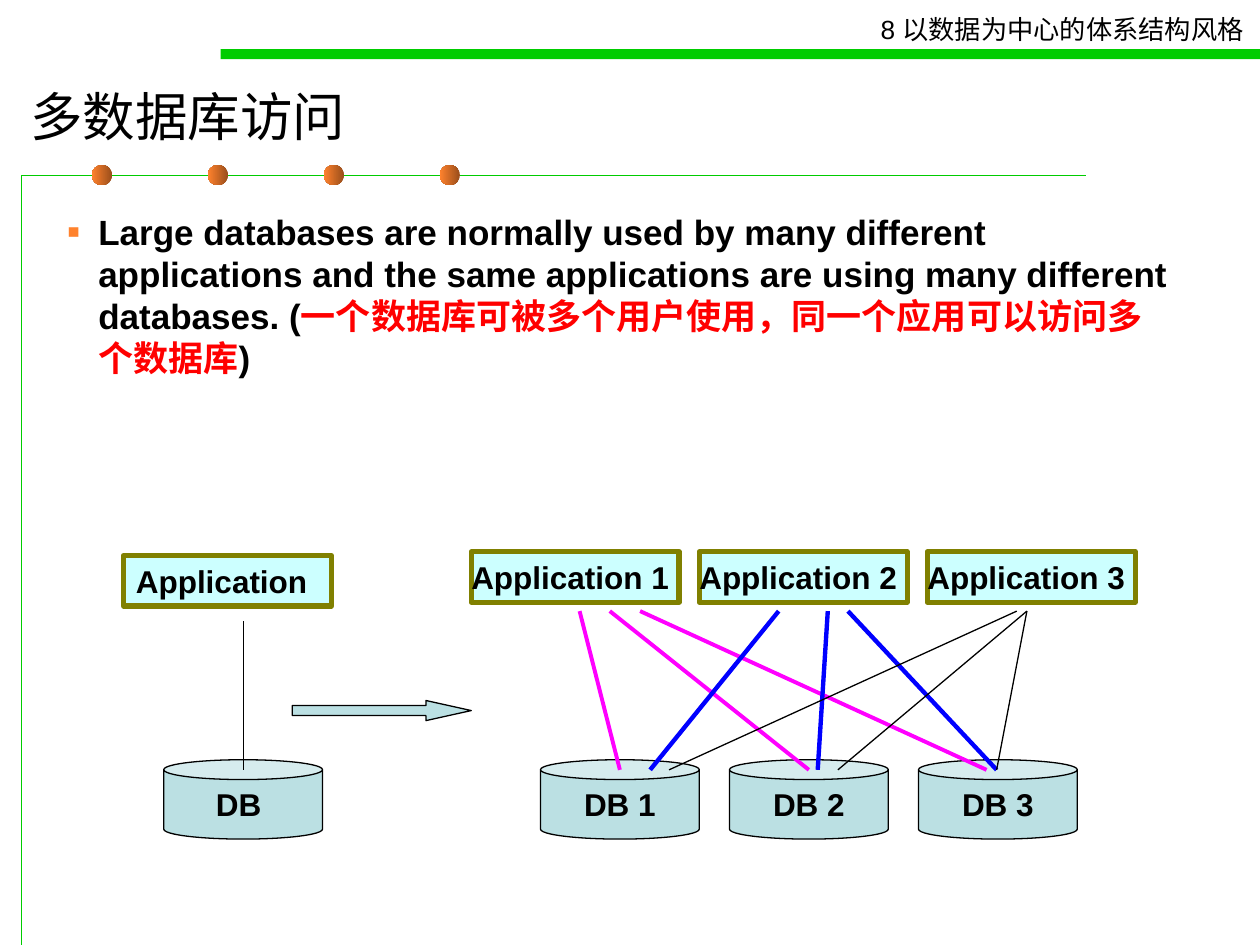
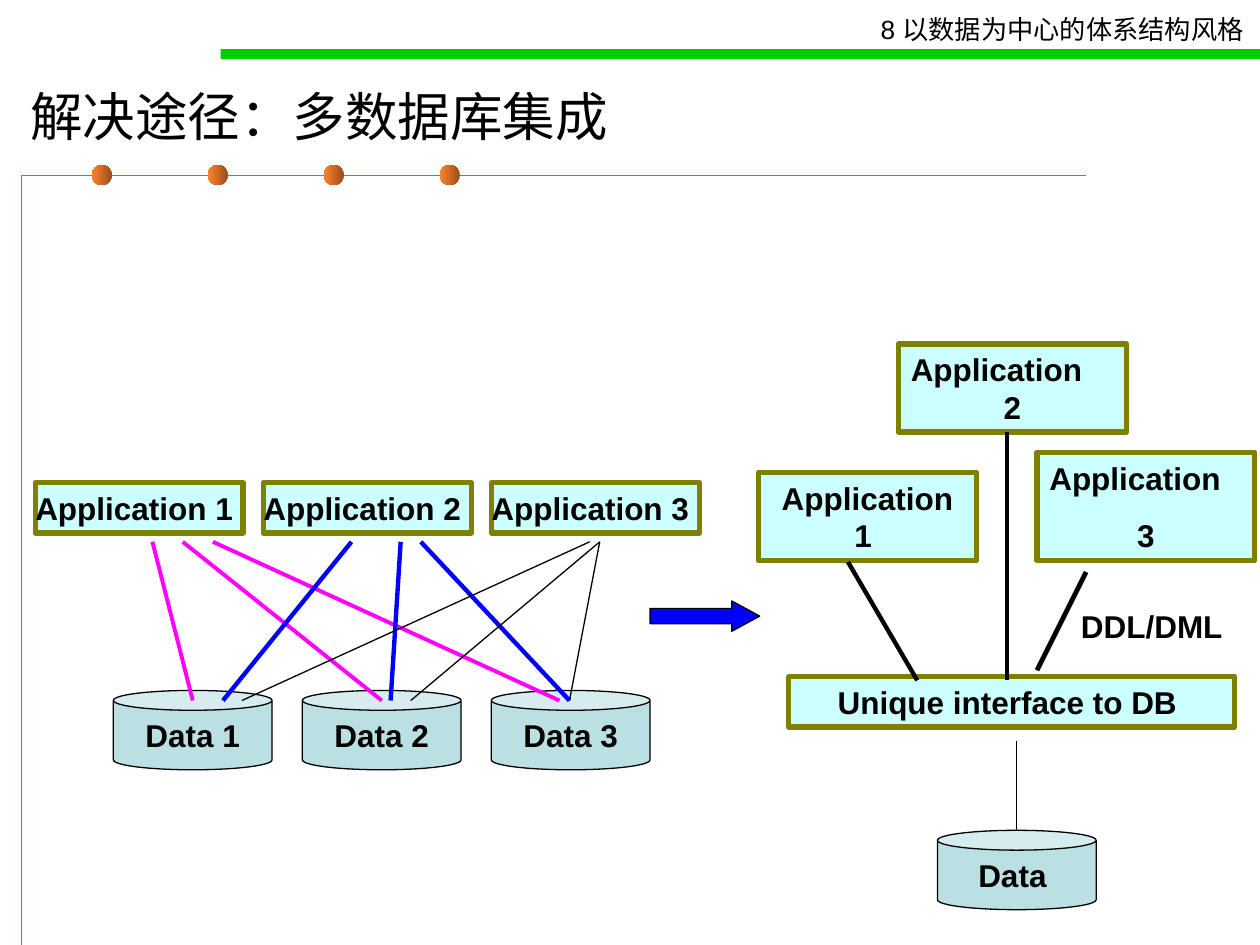
from dataclasses import dataclass

from lxml import etree
from pptx import Presentation
from pptx.dml.color import RGBColor
from pptx.enum.shapes import MSO_CONNECTOR, MSO_SHAPE
from pptx.enum.text import MSO_ANCHOR, MSO_AUTO_SIZE, PP_ALIGN
from pptx.oxml.ns import qn
from pptx.util import Inches, Pt

RECT, OVAL, CAN, ARROW = (MSO_SHAPE.RECTANGLE, MSO_SHAPE.OVAL,
                          MSO_SHAPE.CAN, MSO_SHAPE.RIGHT_ARROW)
STRAIGHT = MSO_CONNECTOR.STRAIGHT
TOP, MIDDLE = MSO_ANCHOR.TOP, MSO_ANCHOR.MIDDLE
LEFT, CENTER = PP_ALIGN.LEFT, PP_ALIGN.CENTER
FIXED = MSO_AUTO_SIZE.NONE


@dataclass(frozen=True)
class Theme:
    font: str = "Arial"
    black: str = "000000"
    red: str = "FF0000"
    green: str = "00CC00"
    orange: str = "FF822D"
    brown: str = "9A4E1B"
    cyan: str = "CCFFFF"
    olive: str = "808000"
    teal: str = "BBE0E3"
    pink: str = "FF00FF"
    blue: str = "0000FF"
    head: float = 15
    title: float = 30
    body: float = 20
    label: float = 18
    thin: float = 0.75
    thick: float = 3
    gap: float = 11.2


def rgb(code):
    return RGBColor.from_string(code)


def box(left, top, width, height):
    return [Inches(v) for v in (left, top, width, height)]


class Deck:
    def __init__(self, theme):
        self.theme = theme
        self.show = Presentation()
        self.show.slide_width, self.show.slide_height = Inches(10), Inches(7.5)
        self.slide = None

    def begin(self, layout, title):
        self.slide = self.show.slides.add_slide(self.show.slide_layouts[layout])
        shape = self.slide.shapes.title
        self.place(shape, 0.14, 0.56, 9.29, 0.71)
        self.text(shape, [[(title, self.theme.black)]], self.theme.title,
                  bold=False, anchor=MIDDLE)

    def place(self, shape, *at):
        shape.left, shape.top, shape.width, shape.height = box(*at)

    def text(self, shape, rows, size, bold=True, aligns=(LEFT,), anchor=TOP,
             wrap=True, side=0.1, gap=0):
        frame = shape.text_frame
        frame.auto_size, frame.word_wrap = FIXED, wrap
        frame.vertical_anchor = anchor
        frame.margin_left = frame.margin_right = Inches(side)
        frame.margin_top = frame.margin_bottom = Inches(0.05)
        for i, row in enumerate(rows):
            para = frame.add_paragraph() if i else frame.paragraphs[0]
            para.alignment = aligns[i % len(aligns)]
            para.space_before = Pt(gap if i else 0)
            for words, color in row:
                run = para.add_run()
                run.text = words
                font = run.font
                font.name, font.size, font.bold = self.theme.font, Pt(size), bold
                font.color.rgb = rgb(color)

    def label(self, shape, *lines, **style):
        rows = [[(line, self.theme.black)] for line in lines]
        self.text(shape, rows, self.theme.label, **style)

    def stroke(self, line, color, width):
        line.color.rgb = rgb(color)
        line.width = Pt(width)

    def shape(self, kind, at, fill, edge=None, width=None):
        shape = self.slide.shapes.add_shape(kind, *box(*at))
        shape.shadow.inherit = False
        shape.fill.solid()
        shape.fill.fore_color.rgb = rgb(fill)
        if edge:
            self.stroke(shape.line, edge, width or self.theme.thin)
        else:
            shape.line.fill.background()
        return shape

    def app(self, at, *lines, **style):
        t = self.theme
        self.label(self.shape(RECT, at, t.cyan, t.olive, t.thick), *lines, **style)

    def can(self, left, top, name):
        shape = self.shape(CAN, (left, top, 1.26, 0.63), self.theme.teal, self.theme.black)
        self.label(shape, name, aligns=(CENTER,), anchor=MIDDLE, wrap=False)

    def arrow(self, at, fill, point):
        shape = self.shape(ARROW, at, fill, self.theme.black)
        shape.adjustments[1] = point

    def line(self, x1, y1, x2, y2, color, width):
        link = self.slide.shapes.add_connector(STRAIGHT, *box(x1, y1, x2, y2))
        self.stroke(link.line, color, width)
        etree.SubElement(link.element.spPr, qn("a:effectLst"))

    def note(self, at, words, size, bold):
        shape = self.slide.shapes.add_textbox(*box(*at))
        self.text(shape, [[(words, self.theme.black)]], size, bold=bold, wrap=False)

    def dot(self, left):
        shape = self.shape(OVAL, (left, 1.31, 0.16, 0.16), self.theme.orange)
        shape.fill.gradient()
        shape.fill.gradient_angle = 180
        for stop, color in zip(shape.fill.gradient_stops,
                               (self.theme.brown, self.theme.orange)):
            stop.color.rgb = rgb(color)

    def frame(self):
        t = self.theme
        shapes = self.slide.shapes
        start = len(shapes)
        pen = shapes.build_freeform(Inches(0.17), Inches(7.5))
        pen.add_line_segments([(Inches(0.17), Inches(1.39)),
                               (Inches(8.62), Inches(1.39))], close=False)
        rule = pen.convert_to_shape()
        rule.shadow.inherit = False
        rule.fill.background()
        self.stroke(rule.line, t.green, t.thin)
        for i in range(4):
            self.dot(0.73 + i * 0.92)
        self.shape(RECT, (1.75, 0.39, 8.25, 0.08), t.green)
        self.note((6.89, 0.06, 3.13, 0.35), "8 以数据为中心的体系结构风格", t.head, False)
        for shape in list(shapes)[start:]:
            self.show.slide_master.shapes.element.append(shape.element)

    def bullet(self, row):
        t = self.theme
        shape = self.slide.placeholders[1]
        self.place(shape, 0.43, 1.62, 8.98, 5.59)
        para = shape.text_frame.paragraphs[0]
        props = para._p.get_or_add_pPr()
        props.set("marL", str(Inches(0.25)))
        props.set("indent", str(-Inches(0.25)))
        tint = etree.SubElement(props, qn("a:buClr"))
        etree.SubElement(tint, qn("a:srgbClr"), val=t.orange)
        etree.SubElement(props, qn("a:buSzPct"), val="110000")
        etree.SubElement(props, qn("a:buFont"), typeface=t.font)
        etree.SubElement(props, qn("a:buChar"), char="▪")
        self.text(shape, [row], t.body)
        para.space_after = Pt(3.7)

    def web(self, app_x, can_x, top, word):
        t = self.theme
        for i in range(3):
            self.app((app_x + i * 1.81, top, 1.65, 0.4), f"Application {i + 1}", side=0)
        for i in range(3):
            self.can(can_x + i * 1.5, top + 1.65, f"{word} {i + 1}")
        fans = (
            (t.pink, 2.25, ((0.31, 0.63), (0.55, 2.13), (0.79, 3.54))),
            (t.blue, 2.5, ((1.89, 0.87), (2.28, 2.2), (2.44, 3.62))),
            (t.black, t.thin, ((3.78, 1.02), (3.86, 2.36), (3.86, 3.62))),
        )
        for color, width, ends in fans:
            for x1, x2 in ends:
                self.line(can_x + x1, top + 0.47, can_x + x2, top + 1.73, color, width)


def access(deck):
    t = deck.theme
    deck.begin(1, "多数据库访问")
    deck.frame()
    deck.bullet([
        ("Large databases are normally used by many different applications and "
         "the same applications are using many different databases. (", t.black),
        ("一个数据库可被多个用户使用，同一个应用可以访问多个数据库", t.red),
        (")", t.black),
    ])
    deck.app((0.98, 4.41, 1.65, 0.4), "Application")
    deck.can(1.3, 6.03, "DB ")
    deck.line(1.93, 4.93, 1.93, 6.11, t.black, t.thin)
    deck.web(3.74, 4.29, 4.38, "DB")
    deck.arrow((2.32, 5.56, 1.42, 0.16), t.teal, 2.25)


def merge(deck):
    t = deck.theme
    deck.begin(5, "解决途径：多数据库集成")
    deck.web(0.28, 0.9, 3.83, "Data")
    deck.arrow((5.16, 4.77, 0.87, 0.24), t.blue, 0.92)
    deck.app((7.13, 2.73, 1.81, 0.7), "Application", "2", aligns=(LEFT, CENTER))
    deck.app((6.02, 3.75, 1.73, 0.7), "Application 1 ", aligns=(CENTER,))
    deck.app((8.23, 3.59, 1.73, 0.86), "Application", "3",
             aligns=(LEFT, CENTER), gap=t.gap)
    deck.app((6.26, 5.37, 3.54, 0.4), "Unique interface to DB ", aligns=(CENTER,))
    deck.can(7.44, 6.59, "Data ")
    deck.line(8.07, 5.88, 8.07, 6.59, t.black, t.thin)
    deck.line(6.73, 4.46, 7.28, 5.4, t.black, 2.5)
    deck.line(7.99, 3.43, 7.99, 5.4, t.black, 2.25)
    deck.line(8.62, 4.54, 8.23, 5.32, t.black, 2.75)
    deck.note((8.48, 4.77, 1.32, 0.4), "DDL/DML", t.label, True)


def main():
    deck = Deck(Theme())
    access(deck)
    merge(deck)
    deck.show.save("out.pptx")


if __name__ == "__main__":
    main()
